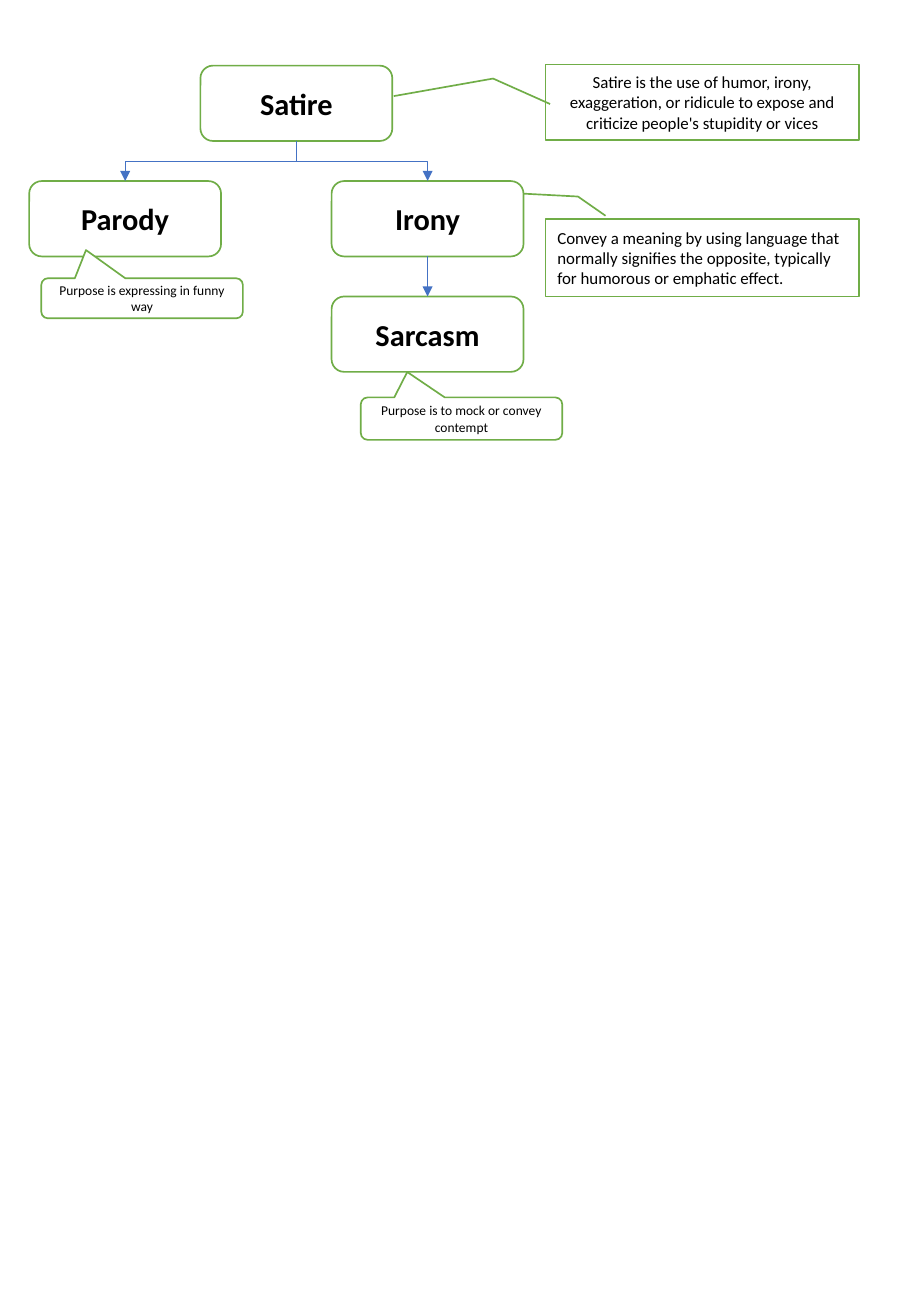
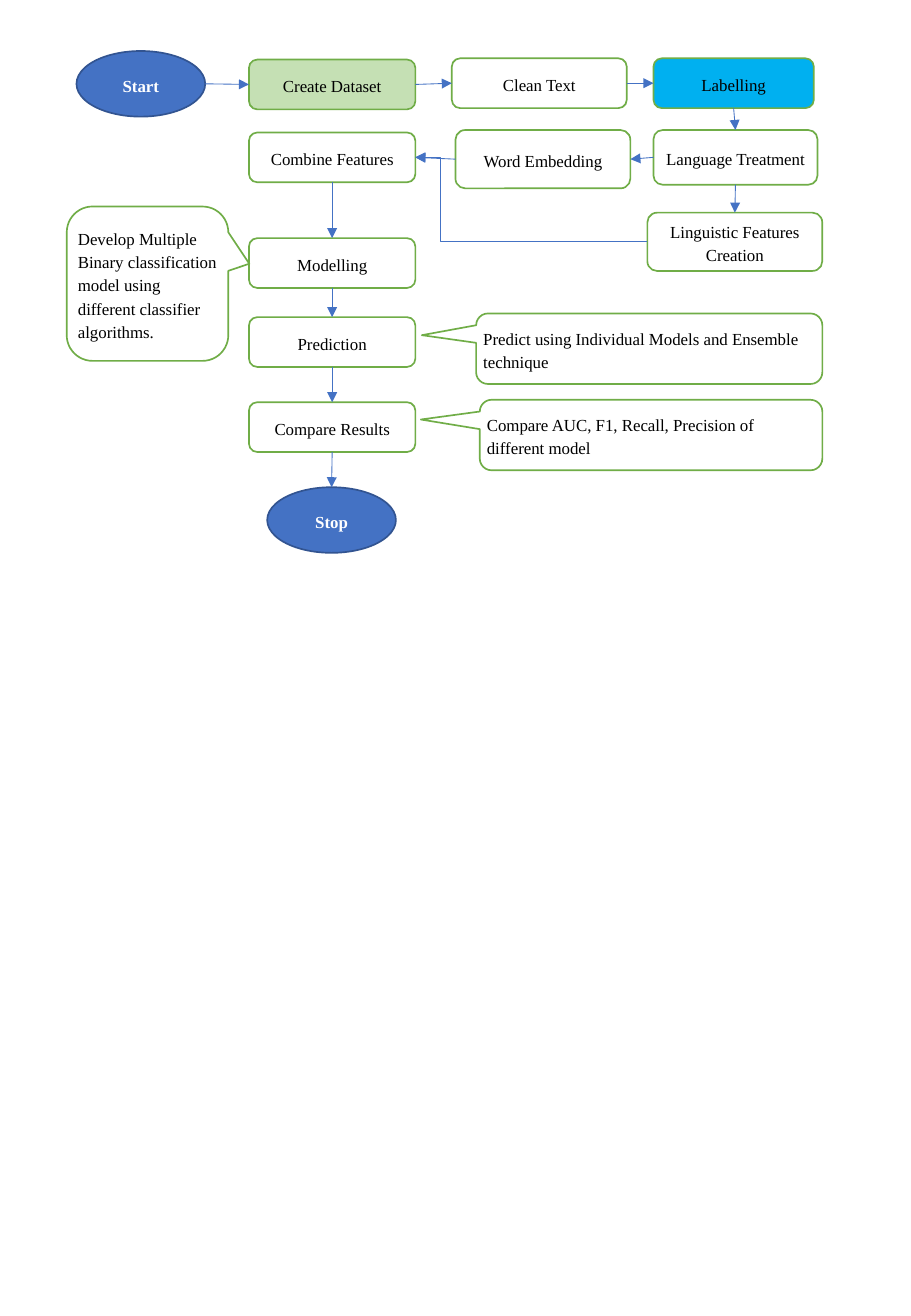
from lxml.etree import SubElement
from pptx import Presentation
from pptx.dml.color import RGBColor
from pptx.enum.shapes import MSO_CONNECTOR, MSO_SHAPE
from pptx.enum.text import MSO_ANCHOR, PP_ALIGN
from pptx.oxml.ns import qn
from pptx.util import Inches, Pt

GREEN = RGBColor(0x70, 0xAD, 0x47)
PALE_GREEN = RGBColor(0xC5, 0xE0, 0xB4)
BLUE = RGBColor(0x44, 0x72, 0xC4)
DARK_BLUE = RGBColor(0x32, 0x54, 0x91)
SKY = RGBColor(0x00, 0xB0, 0xF0)
WHITE = RGBColor(0xFF, 0xFF, 0xFF)
BLACK = RGBColor(0x00, 0x00, 0x00)

TOP, LEFT, BOTTOM, RIGHT = range(4)
WEDGE = MSO_SHAPE.ROUNDED_RECTANGULAR_CALLOUT


def add_node(s, kind, box, text, size=10, font="Calibri", bold=False, color=BLACK,
             fill=WHITE, line=GREEN, align=PP_ALIGN.CENTER, adj=()):
    """Add an outlined shape with one run of text."""
    sp = s.shapes.add_shape(kind, *(Inches(v) for v in box))
    sp.shadow.inherit = False
    sp.fill.solid()
    sp.fill.fore_color.rgb = fill
    sp.line.color.rgb = line
    sp.line.width = Pt(1)
    for i, value in enumerate(adj):
        sp.adjustments[i] = value
    tf = sp.text_frame
    tf.word_wrap = True
    tf.vertical_anchor = MSO_ANCHOR.MIDDLE
    p = tf.paragraphs[0]
    p.alignment = align
    r = p.add_run()
    r.text = text
    r.font.name = font
    r.font.size = Pt(size)
    r.font.bold = bold
    r.font.color.rgb = color
    return sp


def add_step(s, kind, box, text, **style):
    """Add a flowchart node in the serif style with tight margins."""
    sp = add_node(s, kind, box, text, font="Times New Roman", **style)
    tf = sp.text_frame
    tf.margin_left = tf.margin_right = Inches(0.03)
    tf.margin_top = tf.margin_bottom = Inches(0.02)
    tf.paragraphs[0].line_spacing = 1.15
    return sp


def site(sp, side):
    """Return the middle of one side of a shape."""
    fx, fy = {TOP: (0.5, 0), LEFT: (0, 0.5), BOTTOM: (0.5, 1), RIGHT: (1, 0.5)}[side]
    return int(sp.left + fx * sp.width), int(sp.top + fy * sp.height)


def link(s, start, start_side, end, end_side, kind=MSO_CONNECTOR.STRAIGHT, bend=None):
    """Join two shapes with a thin blue arrow."""
    x1, y1 = site(start, start_side)
    x2, y2 = site(end, end_side)
    cxn = s.shapes.add_connector(kind, x1, y1, x2, y2)
    if start.auto_shape_type != MSO_SHAPE.OVAL:
        cxn.begin_connect(start, start_side)
    cxn.end_connect(end, end_side)
    cxn.line.color.rgb = BLUE
    cxn.line.width = Pt(0.5)
    props = cxn.element.spPr
    SubElement(props.find(qn("a:ln")), qn("a:tailEnd"), type="triangle")
    SubElement(props, qn("a:effectLst"))
    if bend is not None:
        guides = props.find(qn("a:prstGeom")).find(qn("a:avLst"))
        SubElement(guides, qn("a:gd"), name="adj1", fmla=f"val {round(bend * 100000)}")
    return cxn


def link_down(s, parent, child):
    """Join a parent to a child below with an elbow that leaves downwards."""
    cxn = link(s, parent, BOTTOM, child, TOP, MSO_CONNECTOR.ELBOW)
    x1, y1 = site(parent, BOTTOM)
    x2, y2 = site(child, TOP)
    width, height = y2 - y1, abs(x2 - x1)
    cxn.left, cxn.top = (x1 + x2 - width) // 2, (y1 + y2 - height) // 2
    cxn.width, cxn.height = width, height
    xfrm = cxn.element.spPr.find(qn("a:xfrm"))
    xfrm.set("rot", "16200000" if x2 > x1 else "5400000")
    xfrm.set("flipH", "1" if x2 > x1 else "0")


def satire_tree(s, x, y):
    """Draw the satire hierarchy with its definitions from the given corner."""
    terms = {
        name: add_node(s, MSO_SHAPE.ROUNDED_RECTANGLE, (x + dx, y + 0.01 + level * 0.95, 1.58, 0.62),
                       name, size=18, bold=True)
        for name, dx, level in [("Satire", 1.41, 0), ("Parody", 0, 1),
                                ("Irony", 2.49, 1), ("Sarcasm", 2.49, 2)]
    }
    definitions = [
        (0, 0.62, PP_ALIGN.CENTER, (0.526, 0.015, 0.188, -0.167, 0.421, -0.484),
         "Satire is the use of humor, irony, exaggeration, or ridicule to expose "
         "and criticize people's stupidity or vices"),
        (1.27, 0.64, PP_ALIGN.LEFT, (-0.038, 0.192, -0.285, 0.104, -0.322, -0.07),
         "Convey a meaning by using language that normally signifies the opposite, "
         "typically for humorous or emphatic effect."),
    ]
    for dy, height, align, adj, text in definitions:
        add_node(s, MSO_SHAPE.LINE_CALLOUT_2, (x + 4.25, y + dy, 2.58, height), text,
                 align=align, adj=adj)
    purposes = [
        (0.1, 1.76, 0.33, (-0.278, -1.203, 0.167), "Purpose is expressing in funny way"),
        (2.73, 2.74, 0.35, (-0.269, -1.097, 0.167), "Purpose is to mock or convey contempt"),
    ]
    for dx, dy, height, adj, text in purposes:
        add_node(s, WEDGE, (x + dx, y + dy, 1.66, height), text, size=8, adj=adj)
    link_down(s, terms["Satire"], terms["Irony"])
    link_down(s, terms["Satire"], terms["Parody"])
    link(s, terms["Irony"], BOTTOM, terms["Sarcasm"], TOP)


def model_flow(s, x, y):
    """Draw the modelling flowchart with its remarks from the given corner."""
    start, stop = (
        add_step(s, MSO_SHAPE.OVAL, (x + dx, y + dy, 1.06, 0.54), text,
                 bold=True, color=WHITE, fill=BLUE, line=DARK_BLUE)
        for text, dx, dy in [("Start", 0.08, 0), ("Stop", 1.65, 3.59)]
    )
    steps = [
        ("Create Dataset", 1.5, 0.07, 1.37, 0.41, PALE_GREEN),
        ("Clean Text", 3.17, 0.06, 1.44, 0.41, WHITE),
        ("Labelling", 4.83, 0.06, 1.32, 0.41, SKY),
        ("Language Treatment", 4.83, 0.65, 1.35, 0.45, WHITE),
        ("Word Embedding", 3.2, 0.65, 1.44, 0.48, WHITE),
        ("Linguistic Features Creation", 4.78, 1.33, 1.44, 0.48, WHITE),
        ("Combine Features", 1.5, 0.67, 1.37, 0.41, WHITE),
        ("Modelling", 1.5, 1.54, 1.37, 0.41, WHITE),
        ("Prediction", 1.5, 2.19, 1.37, 0.41, WHITE),
        ("Compare Results", 1.5, 2.89, 1.37, 0.41, WHITE),
    ]
    (create, clean, label, language, embed, linguistic,
     combine, model, predict, compare) = (
        add_step(s, MSO_SHAPE.FLOWCHART_ALTERNATE_PROCESS, (x + dx, y + dy, w, h), text, fill=fill)
        for text, dx, dy, w, h, fill in steps
    )
    remarks = [
        (0, 1.28, 1.33, 1.27, (0.63, -0.129, 0.167),
         "Develop Multiple Binary classification model using different classifier algorithms."),
        (3.37, 2.16, 2.85, 0.58, (-0.657, -0.192, 0.167),
         "Predict using Individual Models and Ensemble technique"),
        (3.4, 2.87, 2.82, 0.58, (-0.672, -0.22, 0.167),
         "Compare AUC, F1, Recall, Precision of different model"),
    ]
    for dx, dy, w, h, adj, text in remarks:
        add_step(s, WEDGE, (x + dx, y + dy, w, h), text, align=PP_ALIGN.LEFT, adj=adj)

    top_row = [start, create, clean, label]
    for a, b in zip(top_row, top_row[1:]):
        link(s, a, RIGHT, b, LEFT)
    for a, b in [(language, embed), (embed, combine)]:
        link(s, a, LEFT, b, RIGHT)
    for column in ([label, language, linguistic], [combine, model, predict, compare, stop]):
        for a, b in zip(column, column[1:]):
            link(s, a, BOTTOM, b, TOP)
    link(s, linguistic, LEFT, combine, RIGHT, MSO_CONNECTOR.ELBOW, bend=0.89)


prs = Presentation()
prs.slide_width = Inches(7.5)
prs.slide_height = Inches(10.83)
blank = prs.slide_layouts[6]
satire_tree(prs.slides.add_slide(blank), 0.24, 0.53)
model_flow(prs.slides.add_slide(blank), 0.55, 0.42)
prs.save("out.pptx")
